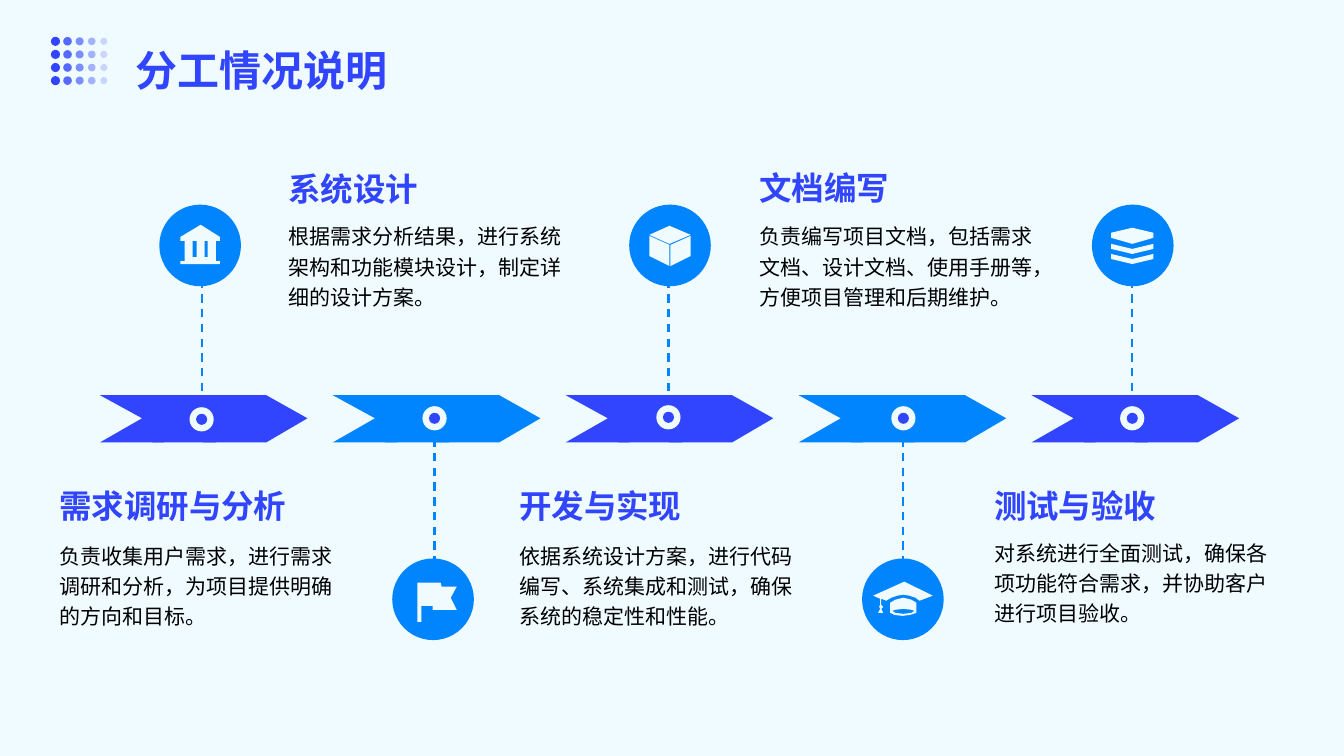
from dataclasses import dataclass

from lxml import etree
from pptx import Presentation
from pptx.dml.color import RGBColor
from pptx.enum.dml import MSO_LINE
from pptx.enum.shapes import MSO_CONNECTOR, MSO_SHAPE
from pptx.enum.text import MSO_ANCHOR, MSO_AUTO_SIZE, PP_ALIGN
from pptx.oxml.ns import qn
from pptx.shapes.autoshape import Shape
from pptx.shapes.shapetree import GroupShapes, SlideShapes
from pptx.util import Inches, Pt

OVAL = MSO_SHAPE.OVAL
STRAIGHT = MSO_CONNECTOR.STRAIGHT
DASH = MSO_LINE.DASH
GROW = MSO_AUTO_SIZE.SHAPE_TO_FIT_TEXT
TOP = MSO_ANCHOR.TOP
LEFT = PP_ALIGN.LEFT
FONT = "Noto Sans CJK SC"
COLORS = {"pale": "EFFBFF", "indigo": "3045FD", "blue": "0085FF", "black": "000000"}
DISC = 0.81

Loop = list[tuple[int, int]]


@dataclass(frozen=True)
class Stage:
    """One step of the timeline, lengths in inches."""
    head: str
    body: str
    left: float
    head_top: float
    body_top: float
    node: tuple[float, float]
    disc: tuple[float, float]
    icon: list[Loop]


def box(left: int, top: int, width: int, height: int) -> Loop:
    """Return the corners of a rectangle."""
    right, base = left + width, top + height
    return [(left, top), (right, top), (right, base), (left, base)]


def slab(top: int) -> Loop:
    """Return one lower sheet of the stack icon."""
    return [(19, top), (40, top + 5), (61, top), (61, top + 5), (40, top + 10), (19, top + 5)]


BANK = [[(21, 32), (41, 20), (60, 32), (60, 36), (21, 36)],
        box(21, 56, 39, 3), box(25, 52, 31, 4),
        *(box(left, 36, 8, 16) for left in (25, 37, 48))]
FLAG = [[(40, 47), (29, 47), (29, 63), (25, 63), (25, 24), (48, 24),
         (49, 28), (64, 28), (58, 39), (64, 51), (40, 51)]]
CUBE = [[(40, 21), (20, 30), (40, 39), (61, 30)],
        [(41, 40), (41, 61), (61, 51), (61, 31)],
        [(20, 51), (40, 61), (40, 40), (20, 31)]]
CAP = [[(57, 42), (53, 39), (47, 37), (41, 36), (35, 37), (29, 39), (24, 42),
        (19, 40), (19, 46), (21, 48), (19, 50), (21, 54), (16, 54), (18, 50),
        (17, 48), (18, 46), (18, 40), (11, 37), (42, 23), (70, 37)],
       [(41, 39), (49, 41), (54, 44), (54, 54), (48, 56), (40, 57),
        (32, 56), (28, 54), (28, 44), (33, 41)],
       [(41, 55), (49, 54), (52, 52), (49, 51), (41, 50), (33, 51), (30, 52), (33, 54)]]
STACK = [slab(49), slab(39),
         [(19, 28), (40, 23), (61, 28), (61, 33), (40, 39), (19, 33)]]
ARROW = [[(0, 0), (63, 0), (104, 23), (63, 47), (0, 47), (42, 23)]]

STAGES = [
    Stage("需求调研与分析", "负责收集用户需求，进行需求调研和分析，为项目提供明确的方向和目标。",
          0.45, 4.6, 5.2, (2, 4.16), (1.58, 2.03), BANK),
    Stage("系统设计", "根据需求分析结果，进行系统架构和功能模块设计，制定详细的设计方案。",
          2.72, 1.46, 2.03, (4.31, 4.15), (3.89, 5.54), FLAG),
    Stage("开发与实现", "依据系统设计方案，进行代码编写、系统集成和测试，确保系统的稳定性和性能。",
          5.01, 4.6, 5.2, (6.63, 4.14), (6.24, 2.03), CUBE),
    Stage("文档编写", "负责编写项目文档，包括需求文档、设计文档、使用手册等，方便项目管理和后期维护。",
          7.39, 1.45, 2.03, (8.96, 4.15), (8.55, 5.54), CAP),
    Stage("测试与验收", "对系统进行全面测试，确保各项功能符合需求，并协助客户进行项目验收。",
          9.72, 4.6, 5.17, (11.23, 4.15), (10.83, 2.03), STACK),
]


def paint(shape: Shape, color: str, alpha: int = 100) -> None:
    """Fill a shape flat, with optional opacity in percent."""
    shape.shadow.inherit = False
    shape.line.fill.background()
    shape.fill.solid()
    shape.fill.fore_color.rgb = RGBColor.from_string(COLORS[color])
    if alpha < 100:
        tone = next(shape.fill._xPr.iter(qn("a:srgbClr")))
        etree.SubElement(tone, qn("a:alpha"), val=str(alpha * 1000))


def dot(shapes: SlideShapes | GroupShapes, mid: tuple[float, float], size: float,
        color: str, alpha: int = 100) -> None:
    """Draw a circle around its centre."""
    left, top = (Inches(at - size / 2) for at in mid)
    paint(shapes.add_shape(OVAL, left, top, Inches(size), Inches(size)), color, alpha)


def trace(shapes: SlideShapes, loops: list[Loop], left: float, top: float, color: str) -> None:
    """Draw closed outlines given in hundredths of an inch."""
    pen = shapes.build_freeform(*loops[0][0], scale=Inches(0.01))
    pen.add_line_segments(loops[0][1:])
    for loop in loops[1:]:
        pen.move_to(*loop[0])
        pen.add_line_segments(loop[1:])
    paint(pen.convert_to_shape(Inches(left), Inches(top)), color)


def write(shape: Shape, text: str, size: float, color: str, bold: bool, gap: float) -> None:
    """Set and format the text of a shape."""
    frame = shape.text_frame
    frame.text = text
    frame.word_wrap = True
    frame.auto_size = GROW
    frame.vertical_anchor = TOP
    frame.margin_left = frame.margin_top = frame.margin_bottom = Inches(0.14)
    frame.margin_right = Inches(0.06)
    para = frame.paragraphs[0]
    para.alignment = LEFT
    para.line_spacing = gap
    para.font.size = Pt(size)
    para.font.bold = bold
    para.font.name = FONT
    para.font.color.rgb = RGBColor.from_string(COLORS[color])
    props = para._p.pPr.find(qn("a:defRPr"))
    etree.SubElement(props, qn("a:ea"), typeface=FONT)


def dashed(shapes: SlideShapes, left: float, start: float, end: float) -> None:
    """Draw an upright dashed line."""
    line = shapes.add_connector(STRAIGHT, Inches(left), Inches(start), Inches(left), Inches(end))
    line.line.color.rgb = RGBColor.from_string(COLORS["blue"])
    line.line.width = Pt(1.5)
    line.line.dash_style = DASH
    etree.SubElement(line._element.spPr, qn("a:effectLst"))


def draw(shapes: SlideShapes, stage: Stage, rank: int) -> None:
    """Draw one stage with its arrow, link, icon and text."""
    for shift in (0, 0.52, 1.02):
        trace(shapes, ARROW, 0.99 + 2.31 * rank + shift, 3.92, "blue" if rank % 2 else "indigo")
    span = (5.6, 4.19) if rank % 2 else (3.88, 2.82)
    dashed(shapes, stage.node[0], *span)
    dot(shapes, stage.node, 0.24, "pale")
    dot(shapes, stage.node, 0.11, "indigo")
    left, top = stage.disc
    dot(shapes, (left + DISC / 2, top + DISC / 2), DISC, "blue")
    trace(shapes, stage.icon, left, top, "pale")
    head = shapes.add_textbox(Inches(stage.left), Inches(stage.head_top), Inches(3.17), Inches(0.76))
    write(head, stage.head, 23.2, "indigo", True, 1.2)
    body = shapes.add_textbox(Inches(stage.left), Inches(stage.body_top), Inches(2.99), Inches(1.55))
    write(body, stage.body, 15, "black", False, 1.2)


def main() -> None:
    """Build and save the slide."""
    deck = Presentation()
    deck.slide_width, deck.slide_height = Inches(13.33), Inches(7.5)
    slide = deck.slides.add_slide(deck.slide_layouts[5])
    back = slide.background.fill
    back.solid()
    back.fore_color.rgb = RGBColor.from_string(COLORS["pale"])
    title = slide.shapes.title
    title.left, title.top = Inches(1.2), Inches(0.1)
    title.width, title.height = Inches(10.94), Inches(1)
    write(title, "分工情况说明", 30, "indigo", True, 1.4)
    for rank, stage in enumerate(STAGES):
        draw(slide.shapes, stage, rank)
    grid = slide.shapes.add_group_shape().shapes
    for row in range(4):
        for col in range(5):
            mid = (0.55 + 0.12 * col, 0.41 + 0.13 * row)
            dot(grid, mid, 0.09 - 0.005 * col, "indigo", 100 - 20 * col)
    deck.save("out.pptx")


if __name__ == "__main__":
    main()
